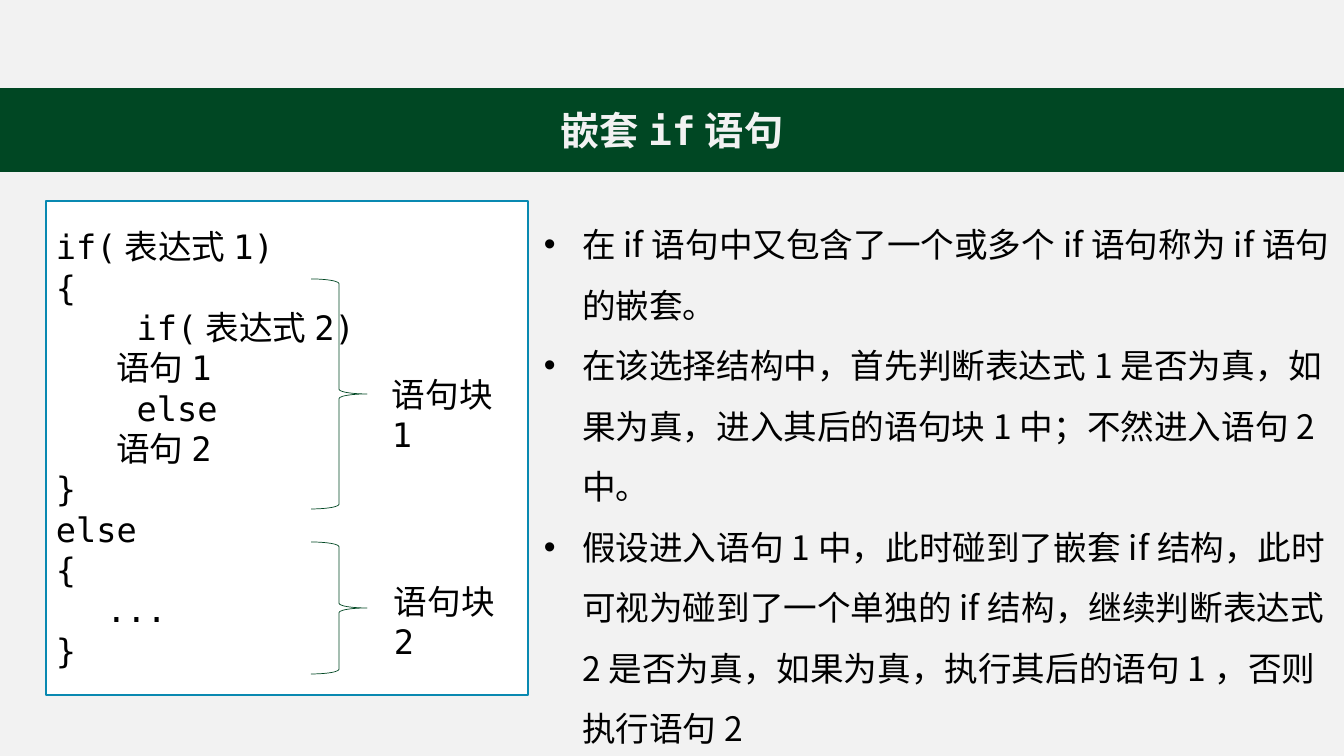
from lxml.etree import SubElement
from pptx import Presentation
from pptx.dml.color import RGBColor
from pptx.enum.shapes import MSO_SHAPE as Shape
from pptx.enum.text import MSO_ANCHOR as Anchor, MSO_AUTO_SIZE as AutoSize, PP_ALIGN as Align
from pptx.oxml.ns import qn
from pptx.util import Emu, Pt

THEME = {
    "paper": RGBColor(0xF2, 0xF2, 0xF2),
    "white": RGBColor(0xFF, 0xFF, 0xFF),
    "green": RGBColor(0x00, 0x47, 0x23),
    "blue": RGBColor(0x09, 0x89, 0xB1),
    "ink": RGBColor(0x00, 0x00, 0x00),
    "title": Pt(28),
    "text": Pt(24),
    "sans": "Noto Sans CJK SC",
    "mono": "DejaVu Sans Mono",
}
PX = 914400 / 100.8

TITLE = [("嵌套", "sans"), ("if", "mono"), ("语句", "sans")]
POINTS = [
    "在if语句中又包含了一个或多个if语句称为if语句的嵌套。",
    "在该选择结构中，首先判断表达式1是否为真，如果为真，进入其后的语句块1中；不然进入语句2中。",
    "假设进入语句1中，此时碰到了嵌套if结构，此时可视为碰到了一个单独的if结构，"
    "继续判断表达式2是否为真，如果为真，执行其后的语句1，否则执行语句2",
]
CODE = """if(表达式1)
{
    if(表达式2)
        语句1
    else
        语句2
}
else
{
\t...
}"""
BLOCKS = [
    ("语句块1", (311, 279, 56, 230), (382, 369, 144, 50)),
    ("语句块2", (311, 542, 56, 132), (384, 576, 144, 50)),
]


def px(*lengths):
    return [Emu(round(length * PX)) for length in lengths]


def write(frame, text, face):
    frame.text = text
    for para in frame.paragraphs:
        para.alignment = Align.LEFT
        para.font.size = THEME["text"]
        para.font.name = THEME[face]
        para.font.color.rgb = THEME["ink"]


deck = Presentation()
deck.slide_width, deck.slide_height = px(1344, 756)
page = deck.slides.add_slide(deck.slide_layouts[1])
page.background.fill.solid()
page.background.fill.fore_color.rgb = THEME["paper"]
shapes = page.shapes

strip = shapes.add_shape(Shape.RECTANGLE, *px(0, 0, 1344, 88))
strip.fill.solid()
strip.fill.fore_color.rgb = THEME["paper"]
strip.line.fill.background()
strip.shadow.inherit = False
effects = strip._element.spPr.find(qn("a:effectLst"))
shadow = SubElement(effects, qn("a:outerShdw"), blurRad=str(Pt(18)), dist=str(Pt(4)), dir="5400000")
shade = SubElement(shadow, qn("a:srgbClr"), val="000000")
SubElement(shade, qn("a:alpha"), val="29000")
shapes._spTree.insert(2, strip._element)

title = shapes.title
title.left, title.top, title.width, title.height = px(0, 89, 1344, 82)
title.fill.solid()
title.fill.fore_color.rgb = THEME["green"]
title.line.color.rgb = THEME["green"]
title.line.width = Pt(1)
title.text_frame.vertical_anchor = Anchor.MIDDLE
heading = title.text_frame.paragraphs[0]
heading.alignment = Align.CENTER
heading.font.size = THEME["title"]
heading.font.bold = True
heading.font.color.rgb = THEME["paper"]
for words, face in TITLE:
    span = heading.add_run()
    span.text = words
    span.font.name = THEME[face]

body = page.placeholders[1]
body.left, body.top, body.width, body.height = px(544, 204, 800, 489)
frame = body.text_frame
frame.margin_left = frame.margin_top = frame.margin_right = frame.margin_bottom = 0
frame.auto_size = AutoSize.SHAPE_TO_FIT_TEXT
write(frame, "\n".join(POINTS), "sans")
hanging = px(38)[0]
for para in frame.paragraphs:
    para.line_spacing = 1.5
    para.space_before = Pt(0)
    para._p.pPr.set("marL", str(hanging))
    para._p.pPr.set("indent", str(-hanging))

code = shapes.add_shape(Shape.RECTANGLE, *px(46, 201, 482, 494))
code.shadow.inherit = False
code.fill.solid()
code.fill.fore_color.rgb = THEME["white"]
code.line.color.rgb = THEME["blue"]
code.line.width = Pt(1)
code.text_frame.vertical_anchor = Anchor.MIDDLE
write(code.text_frame, CODE, "mono")

for name, brace_place, label_place in BLOCKS:
    brace = shapes.add_shape(Shape.RIGHT_BRACE, *px(*brace_place))
    brace.shadow.inherit = False
    brace.fill.background()
    brace.line.color.rgb = THEME["green"]
    brace.line.width = Pt(0.5)
    label = shapes.add_textbox(*px(*label_place))
    label.text_frame.word_wrap = True
    label.text_frame.auto_size = AutoSize.SHAPE_TO_FIT_TEXT
    write(label.text_frame, name, "mono")

deck.save("out.pptx")
